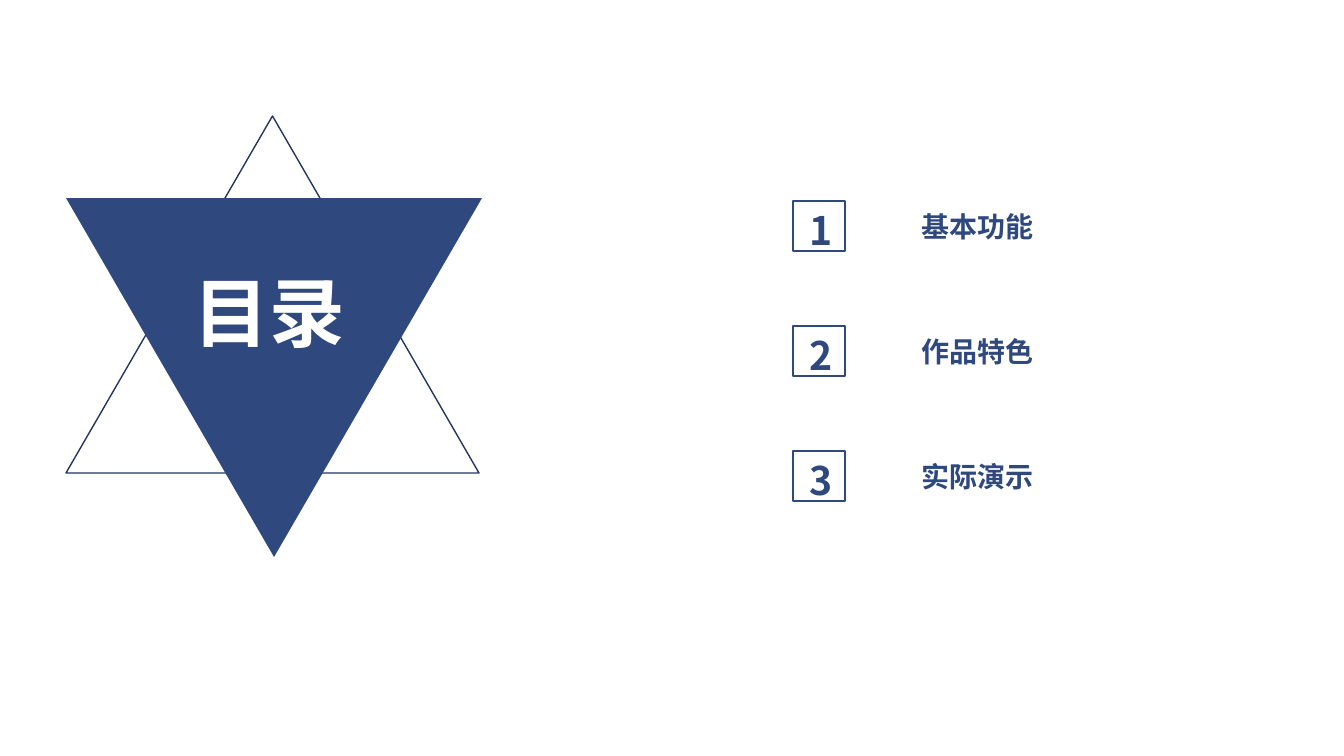
from pptx import Presentation
from pptx.dml.color import RGBColor as RGB
from pptx.enum.shapes import MSO_SHAPE as Shape
from pptx.enum.text import MSO_ANCHOR as Anchor, PP_ALIGN as Align
from pptx.oxml.ns import qn
from pptx.util import Pt
from lxml import etree

PX = 914400 / 100.8
FONT = "Noto Sans CJK SC"
COLORS = {"blue": "2F497E", "navy": "23365D", "white": "FFFFFF"}

deck = Presentation()
deck.slide_width, deck.slide_height = round(1344 * PX), round(756 * PX)
slide = deck.slides.add_slide(deck.slide_layouts[6])


def shape(kind, *box, fill=None, line=None):
    item = slide.shapes.add_shape(kind, *[round(n * PX) for n in box])
    item.shadow.inherit = False
    if fill:
        item.fill.solid()
        item.fill.fore_color.rgb = RGB.from_string(COLORS[fill])
    else:
        item.fill.background()
    if line:
        item.line.color.rgb = RGB.from_string(COLORS[line])
        item.line.width = Pt(1)
    else:
        item.line.fill.background()
    return item


def label(text, *box, size, color="blue", wrap=True, align=Align.LEFT, anchor=Anchor.TOP):
    frame = slide.shapes.add_textbox(*[round(n * PX) for n in box]).text_frame
    frame.text = text
    frame.word_wrap = wrap
    frame.vertical_anchor = anchor
    para = frame.paragraphs[0]
    para.alignment = align
    font = para.runs[0].font
    font.size, font.bold, font.name = Pt(size), True, FONT
    font.color.rgb = RGB.from_string(COLORS[color])
    # Chinese characters take the East Asian typeface
    etree.SubElement(para.runs[0]._r.rPr, qn("a:ea"), typeface=FONT)


# Title star
shape(Shape.ISOSCELES_TRIANGLE, 66, 116, 413, 357, line="navy")
down = shape(Shape.ISOSCELES_TRIANGLE, 66, 198, 416, 359, fill="blue")
down.rotation = 180
label("目录", 184, 261, 242, 102, size=54, color="white")

# Contents list
for i, topic in enumerate(["基本功能", "作品特色", "实际演示"]):
    top = 198 + 125 * i
    shape(Shape.RECTANGLE, 793, top + 3, 52, 50, line="blue")
    label(str(i + 1), 800, top + 3, 37, 57, size=28, wrap=False)
    label(topic, 866, top, 224, 56, size=20, align=Align.CENTER, anchor=Anchor.MIDDLE)

deck.save("out.pptx")
